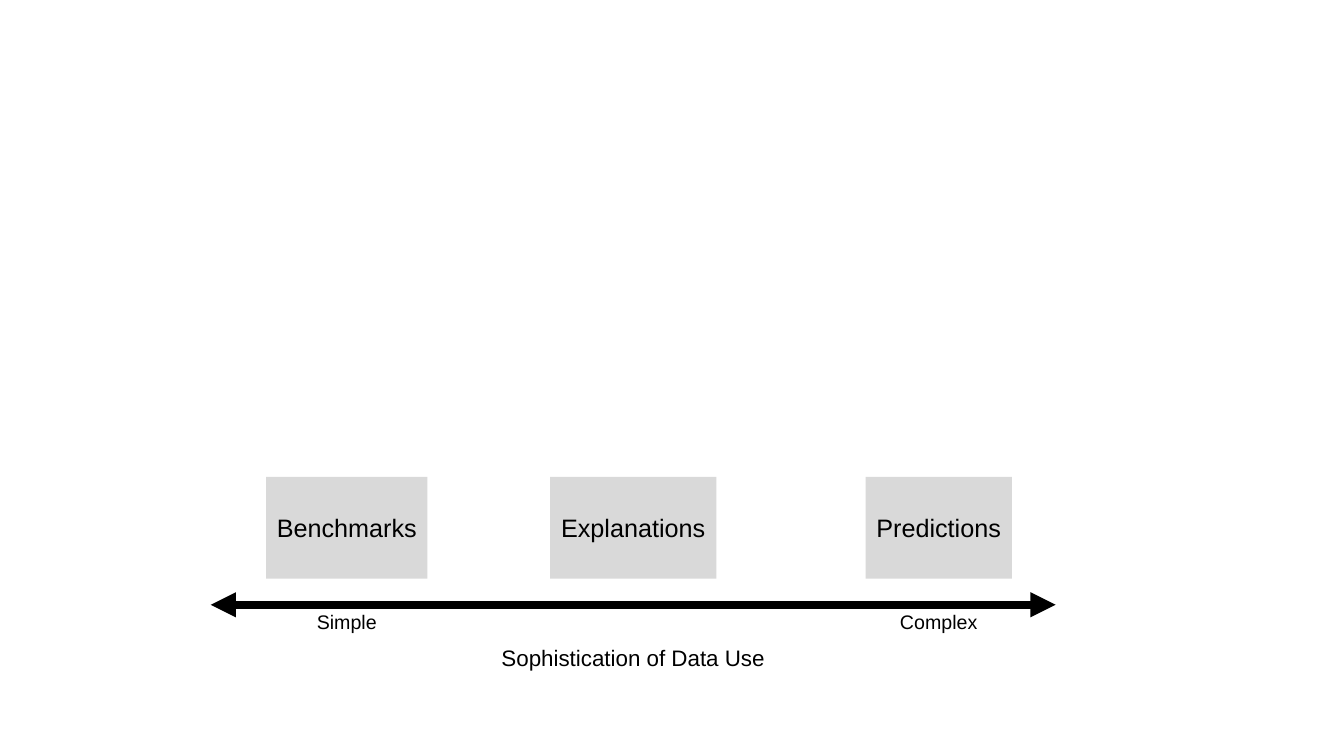
"""Builds a slide placing three uses of data on a scale from simple to complex."""
from dataclasses import dataclass
from typing import Optional

from lxml import etree
from pptx import Presentation
from pptx.dml.color import RGBColor
from pptx.enum.shapes import MSO_CONNECTOR, MSO_SHAPE
from pptx.enum.text import MSO_ANCHOR, PP_ALIGN
from pptx.oxml.ns import qn
from pptx.slide import Slide
from pptx.util import Inches, Pt

BLACK = RGBColor(0x00, 0x00, 0x00)
GREY = RGBColor(0xD9, 0xD9, 0xD9)
RECTANGLE = MSO_SHAPE.RECTANGLE
STRAIGHT = MSO_CONNECTOR.STRAIGHT
CENTER = PP_ALIGN.CENTER
MIDDLE = MSO_ANCHOR.MIDDLE

SIMPLE_X, MIDDLE_X, COMPLEX_X = 3.44, 6.28, 9.31
AXIS_LEFT, AXIS_RIGHT, AXIS_Y = 2.09, 10.47, 6.0
BOX_TOP, BOX_HEIGHT = 4.73, 1.01
CAPTION_TOP = 6.34


@dataclass(frozen=True)
class Label:
    """Text centred on a point of the scale, with an optional fill."""

    text: str
    center: float
    top: float
    width: float
    height: float
    size: int
    fill: Optional[RGBColor] = None


LABELS = [
    *(Label(text, center, BOX_TOP, width, BOX_HEIGHT, 18, GREY)
      for text, center, width in (("Benchmarks", SIMPLE_X, 1.6),
                                  ("Explanations", MIDDLE_X, 1.65),
                                  ("Predictions", COMPLEX_X, 1.45))),
    Label("Simple", SIMPLE_X, AXIS_Y, 0.8, 0.34, 14),
    Label("Complex", COMPLEX_X, AXIS_Y, 0.98, 0.34, 14),
    Label("Sophistication of Data Use", MIDDLE_X, CAPTION_TOP, 2.84, 0.37, 16),
]


def add_axis(s: Slide) -> None:
    """Draw the scale as a line with an arrowhead at each end."""
    axis = s.shapes.add_connector(STRAIGHT, Inches(AXIS_LEFT), Inches(AXIS_Y),
                                  Inches(AXIS_RIGHT), Inches(AXIS_Y))
    axis.line.color.rgb = BLACK
    axis.line.width = Pt(6)
    ln = axis.line._get_or_add_ln()
    for end in ("a:headEnd", "a:tailEnd"):
        etree.SubElement(ln, qn(end), type="triangle")
    etree.SubElement(axis._element.spPr, qn("a:effectLst"))


def add_label(s: Slide, label: Label) -> None:
    """Draw a label as a filled rectangle or a plain text box."""
    bounds = (Inches(label.center - label.width / 2), Inches(label.top),
              Inches(label.width), Inches(label.height))
    if label.fill is None:
        sp = s.shapes.add_textbox(*bounds)
    else:
        sp = s.shapes.add_shape(RECTANGLE, *bounds)
        sp.shadow.inherit = False
        sp.fill.solid()
        sp.fill.fore_color.rgb = label.fill
        sp.line.fill.background()
    tf = sp.text_frame
    tf.word_wrap = False
    tf.vertical_anchor = MIDDLE
    p = tf.paragraphs[0]
    p.alignment = CENTER
    r = p.add_run()
    r.text = label.text
    for name, value in {"name": "Arial", "size": Pt(label.size)}.items():
        setattr(r.font, name, value)
    r.font.color.rgb = BLACK


def main() -> None:
    """Build and save the presentation."""
    prs = Presentation()
    prs.slide_width, prs.slide_height = Inches(13.33), Inches(7.5)
    s = prs.slides.add_slide(prs.slide_layouts[6])
    add_axis(s)
    for label in LABELS:
        add_label(s, label)
    prs.save("out.pptx")


main()
